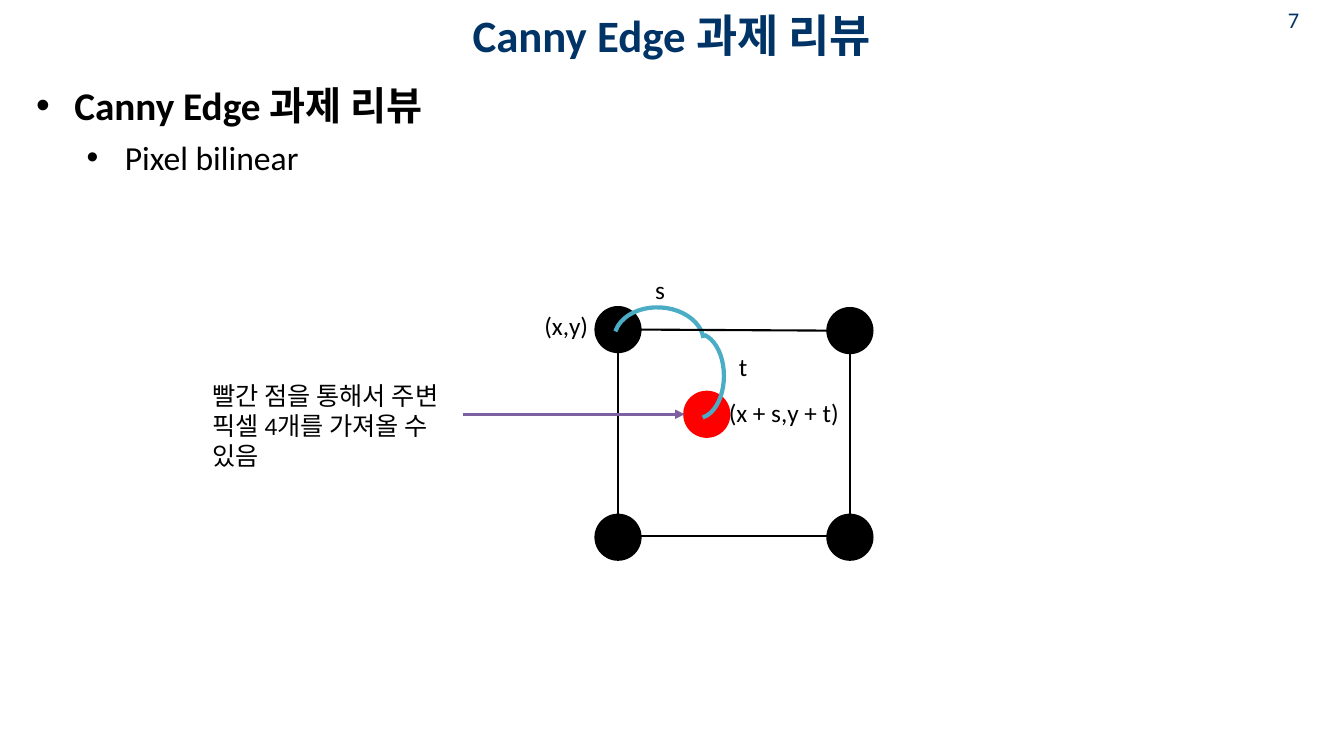
"""Build the slide that explains bilinear pixel lookup for Canny Edge."""
from lxml import etree
from pptx import Presentation
from pptx.dml.color import RGBColor
from pptx.enum.shapes import MSO_CONNECTOR, MSO_SHAPE
from pptx.enum.text import MSO_ANCHOR, PP_ALIGN
from pptx.oxml.ns import qn
from pptx.util import Inches, Pt

OVAL, ARC = MSO_SHAPE.OVAL, MSO_SHAPE.ARC
LINE = MSO_CONNECTOR.STRAIGHT
MIDDLE, TOP = MSO_ANCHOR.MIDDLE, MSO_ANCHOR.TOP
LEFT, CENTER = PP_ALIGN.LEFT, PP_ALIGN.CENTER
FONT = "Calibri"
HEX = {"navy": "003366", "black": "000000", "red": "FF0000",
       "teal": "4BACC6", "plum": "7D60A0"}
INK = {name: RGBColor.from_string(code) for name, code in HEX.items()}

prs = Presentation()
prs.slide_width, prs.slide_height = Inches(13.33), Inches(7.5)
slide = prs.slides.add_slide(prs.slide_layouts[6])
shapes = slide.shapes


def add_run(para, text, size, ink="black", bold=False):
    run = para.add_run()
    run.text = text
    run.font.name, run.font.size = FONT, Pt(size)
    run.font.bold = bold
    run.font.color.rgb = INK[ink]


def add_box(spot, anchor=TOP):
    frame = shapes.add_textbox(*map(Inches, spot)).text_frame
    frame.word_wrap = True
    frame.vertical_anchor = anchor
    return frame


heads = [
    ((12.31, 0.01, 1.04, 0.29), "7", 16, False, TOP),
    ((1.86, 0.01, 9.61, 0.66), "Canny Edge 과제 리뷰", 32, True, MIDDLE),
]
for spot, text, size, bold, anchor in heads:
    para = add_box(spot, anchor).paragraphs[0]
    para.alignment = CENTER
    add_run(para, text, size, "navy", bold)

body = add_box((0.26, 0.76, 12.81, 6.14))
points = [("Canny Edge 과제 리뷰", 28, True), ("Pixel bilinear", 24, False)]
for level, (text, size, bold) in enumerate(points):
    para = body.add_paragraph() if level else body.paragraphs[0]
    para.level = level
    para.alignment = LEFT
    if level:
        para.space_before = Pt(5.6)
    props = para._p.get_or_add_pPr()
    props.set("marL", str(Inches(0.38 + 0.5 * level)))
    props.set("indent", str(Inches(-0.38)))
    etree.SubElement(props, qn("a:buFont")).set("typeface", "Arial")
    etree.SubElement(props, qn("a:buChar")).set("char", "•")
    add_run(para, text, size, bold=bold)

dots = [(5.91, 3.05, "black"), (8.21, 3.06, "black"), (5.91, 5.11, "black"),
        (8.21, 5.11, "black"), (6.79, 3.89, "red")]
for x, y, ink in dots:
    dot = shapes.add_shape(OVAL, Inches(x), Inches(y), Inches(0.44), Inches(0.44))
    dot.shadow.inherit = False
    dot.fill.solid()
    dot.fill.fore_color.rgb = dot.line.color.rgb = INK[ink]
    dot.line.width = Pt(2)

arcs = [((6.09, 3.05, 0.89, 0.66), 3.4), ((6.5, 3.47, 0.84, 0.52), 90)]
for spot, turn in arcs:
    arc = shapes.add_shape(ARC, *map(Inches, spot))
    arc.shadow.inherit = False
    arc.adjustments[0], arc.adjustments[1] = 113.178, 211.904
    arc.rotation = turn
    arc.fill.background()
    arc.line.color.rgb = INK["teal"]
    arc.line.width = Pt(3)

lines = [
    ((6.13, 3.49, 6.13, 5.11), "black", 1.5),
    ((8.21, 5.32, 6.35, 5.32), "black", 1.5),
    ((8.43, 5.11, 8.43, 3.5), "black", 1.5),
    ((8.21, 3.28, 6.35, 3.27), "black", 1.5),
    ((4.59, 4.11, 6.79, 4.11), "plum", 2.25),
]
for ends, ink, width in lines:
    line = shapes.add_connector(LINE, *map(Inches, ends))
    line.line.color.rgb = INK[ink]
    line.line.width = Pt(width)
    etree.SubElement(line._element.spPr, qn("a:effectLst"))
    if ink == "plum":
        edge = line.line._get_or_add_ln()
        etree.SubElement(edge, qn("a:tailEnd")).set("type", "triangle")

labels = [
    ((5.3, 3.03, 0.72, 0.4), "(x,y)"),
    ((7.13, 3.89, 1.53, 0.4), "(x + s,y + t)"),
    ((6.4, 2.67, 0.26, 0.4), "s"),
    ((7.23, 3.44, 0.26, 0.4), "t"),
    ((2.01, 3.72, 2.81, 1.01), "빨간 점을 통해서 주변 픽셀 4개를 가져올 수 있음"),
]
for spot, text in labels:
    add_run(add_box(spot).paragraphs[0], text, 18)

prs.save("out.pptx")
